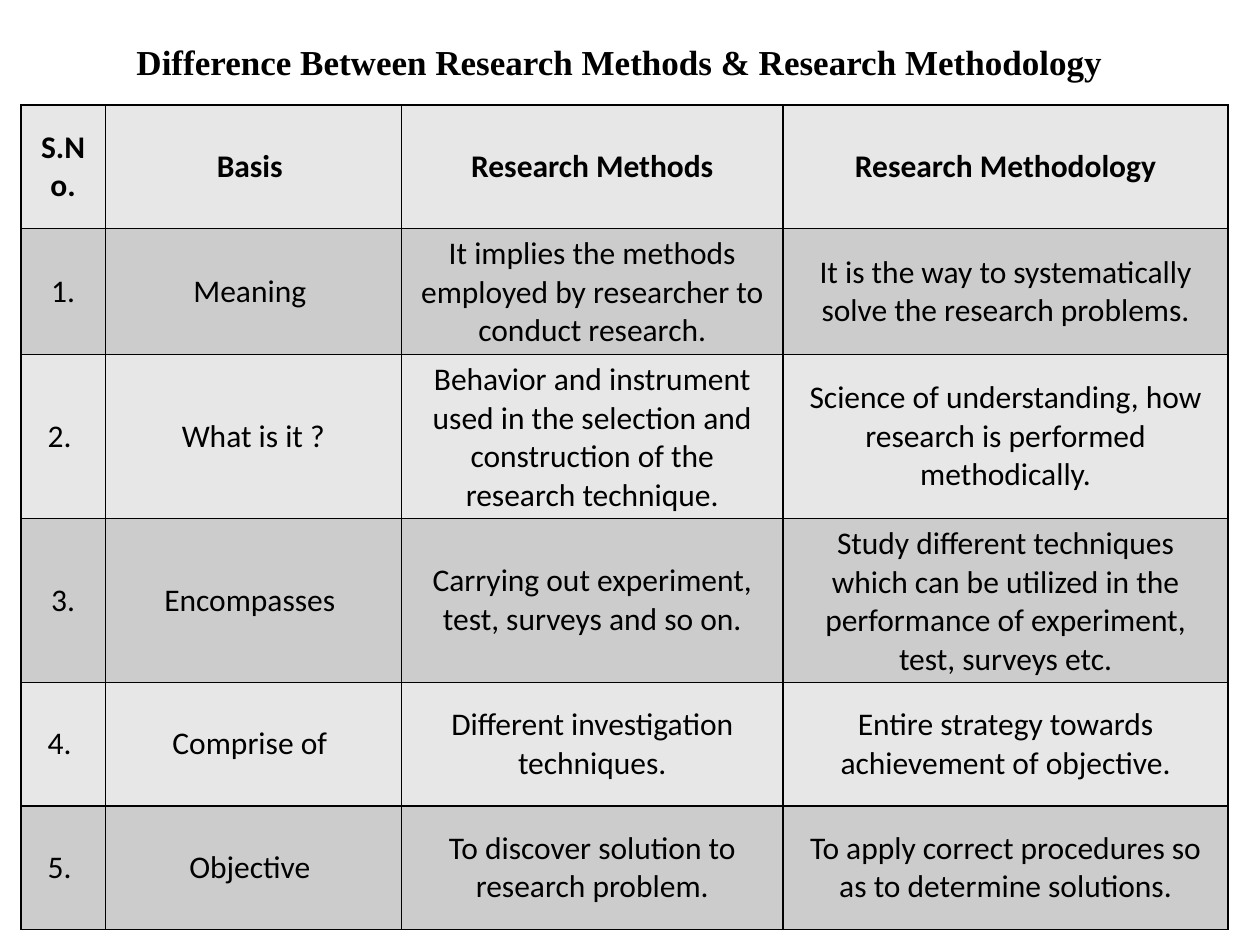
from lxml.etree import SubElement
from pptx import Presentation
from pptx.dml.color import RGBColor
from pptx.enum.text import MSO_ANCHOR, PP_ALIGN
from pptx.oxml.ns import qn
from pptx.util import Pt

COLORS = {"text": "000000", "border": "000000", "light": "E7E7E7", "dark": "CCCCCC"}
COLUMN_WIDTHS = [48.2, 169.2, 218.2, 254.2]
ROW_HEIGHTS = [70.6, 71.3, 92.2, 92.2, 70.6, 70.6]
COMPARISON = [
    ["S.No.", "Basis ", "Research Methods", "Research Methodology"],
    ["1.", "Meaning ",
     "It implies the methods employed by researcher to conduct research.",
     "It is the way to systematically solve the research problems."],
    ["2. ", "What is it ?",
     "Behavior and instrument used in the selection and construction of the research technique.",
     "Science of understanding, how research is performed methodically."],
    ["3.", "Encompasses ",
     "Carrying out experiment, test, surveys and so on.",
     "Study different techniques which can be utilized in the performance of experiment, "
     "test, surveys etc."],
    ["4. ", "Comprise of ",
     "Different investigation techniques.",
     "Entire strategy towards achievement of objective."],
    ["5. ", "Objective ",
     "To discover solution to research problem.",
     "To apply correct procedures so as to determine solutions."],
]


def write_text(frame, text, font="Calibri", size=18, bold=False, spacing=1.0):
    frame.word_wrap = True
    paragraph = frame.paragraphs[0]
    paragraph.alignment = PP_ALIGN.CENTER
    paragraph.line_spacing = spacing
    run = paragraph.add_run()
    run.text = text
    run.font.name = font
    run.font.size = Pt(size)
    run.font.bold = bold
    run.font.color.rgb = RGBColor.from_string(COLORS["text"])


def add_borders(cell):
    properties = cell._tc.get_or_add_tcPr()
    for position, side in enumerate(("a:lnL", "a:lnR", "a:lnT", "a:lnB")):
        line = SubElement(properties, qn(side), w=str(Pt(1)))
        fill = SubElement(line, qn("a:solidFill"))
        SubElement(fill, qn("a:srgbClr"), val=COLORS["border"])
        properties.insert(position, line)


presentation = Presentation()
presentation.slide_width = Pt(720)
presentation.slide_height = Pt(540)
slide = presentation.slides.add_slide(presentation.slide_layouts[6])

heading = slide.shapes.add_textbox(Pt(0), Pt(18), Pt(708), Pt(66)).text_frame
heading.vertical_anchor = MSO_ANCHOR.TOP
heading.margin_top = Pt(8)
write_text(heading, "Difference Between Research Methods & Research Methodology",
           font="Times New Roman", size=20, bold=True, spacing=0.9)

comparison_table = slide.shapes.add_table(
    len(ROW_HEIGHTS), len(COLUMN_WIDTHS), Pt(12), Pt(60),
    Pt(sum(COLUMN_WIDTHS)), Pt(sum(ROW_HEIGHTS))).table
for column, width in zip(comparison_table.columns, COLUMN_WIDTHS):
    column.width = Pt(width)
for row, height in zip(comparison_table.rows, ROW_HEIGHTS):
    row.height = Pt(height)

for row_index, entries in enumerate(COMPARISON):
    shade = COLORS["dark" if row_index % 2 else "light"]
    for column_index, entry in enumerate(entries):
        cell = comparison_table.cell(row_index, column_index)
        cell.vertical_anchor = MSO_ANCHOR.MIDDLE
        cell.fill.solid()
        cell.fill.fore_color.rgb = RGBColor.from_string(shade)
        add_borders(cell)
        write_text(cell.text_frame, entry, bold=row_index == 0)

presentation.save("out.pptx")
